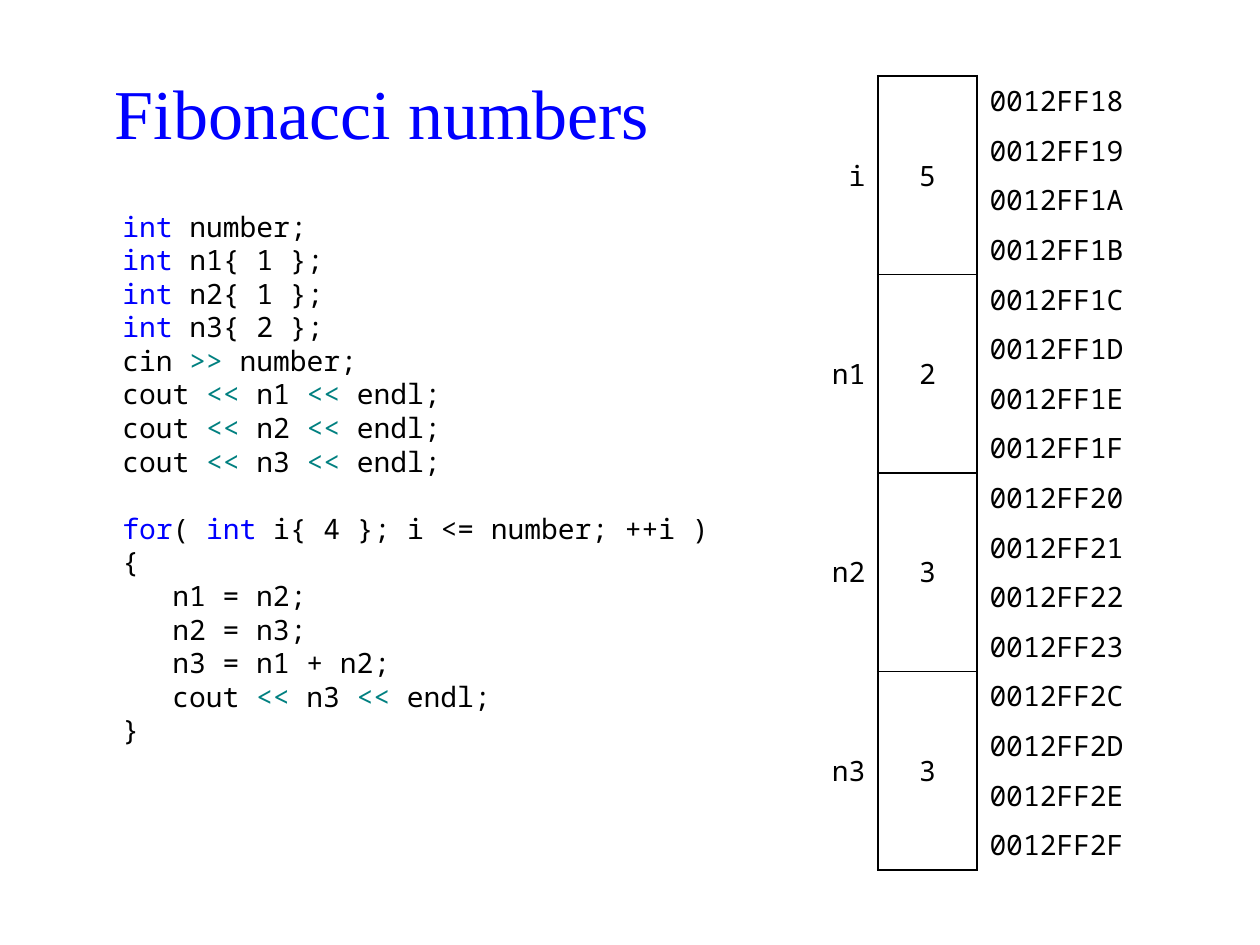
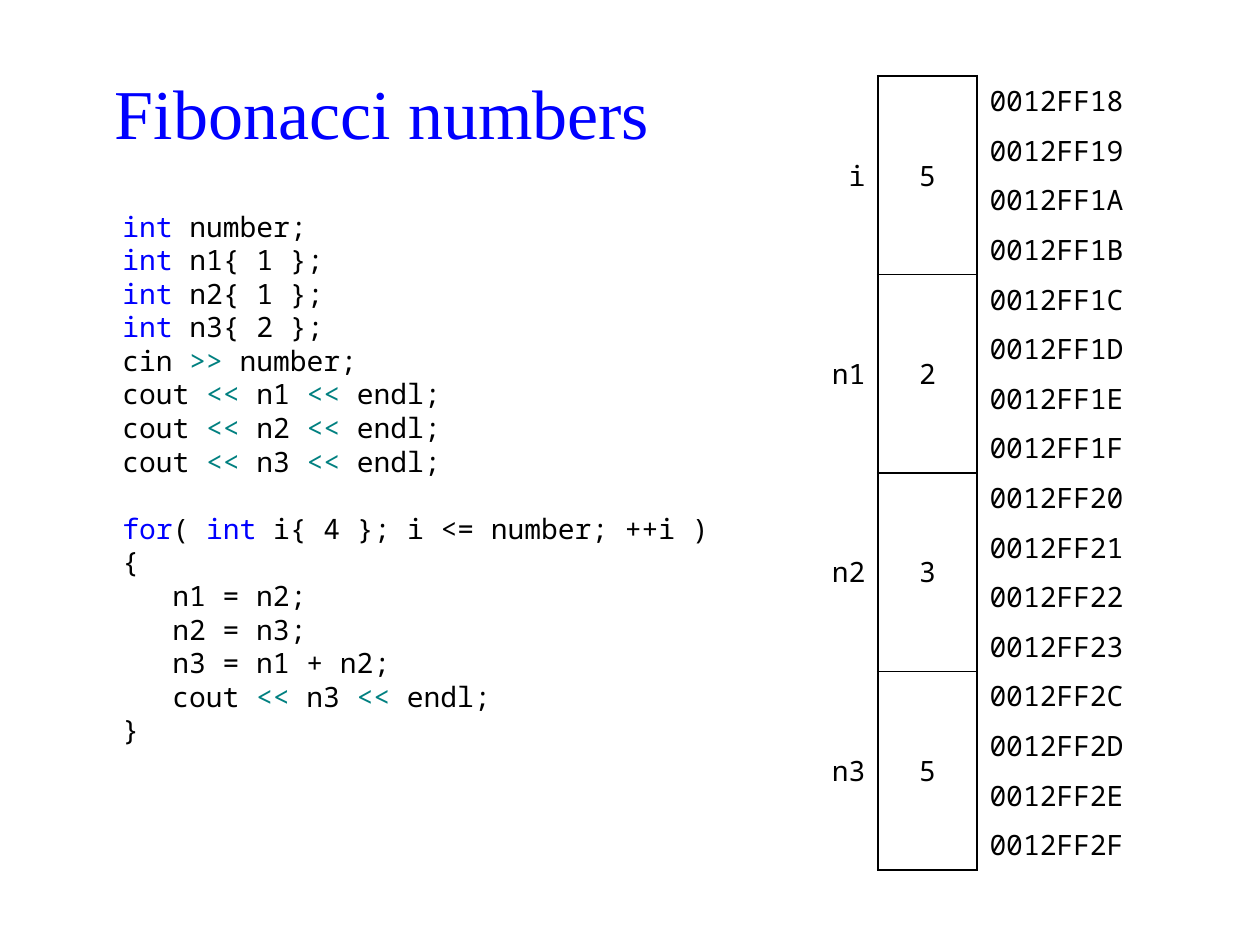
from pptx import Presentation, util as u
from pptx.dml.color import RGBColor
from pptx.enum import text
from pptx.oxml import parse_xml
from pptx.oxml.ns import nsdecls, qn

# Content: "|" separates differently coloured pieces of a code line
TITLE = "Fibonacci numbers"
DECLS = [
    "int| number;",
    "int| n1{ 1 };",
    "int| n2{ 1 };",
    "int| n3{ 2 };",
    "cin |>>| number;",
    "cout |<<| n1 |<<| endl;",
    "cout |<<| n2 |<<| endl;",
    "cout |<<| n3 |<<| endl;",
]
HEAD = ["for|( |int| i{ 4 }; i <= number; ++i )", "{"]
BODY = ["n1 = n2;", "n2 = n3;", "n3 = n1 + n2;", "cout |<<| n3 |<<| endl;"]
NAMES = ["i", "n1", "n2", "n3"]
STARTS = [0x12FF18, 0x12FF1C, 0x12FF20, 0x12FF2C]
STATES = [["5", "2", "3", "3"], ["5", "2", "3", "5"]]

# Shared style
BLACK, BLUE, TEAL = "000000", "0000FF", "008080"
TINTS = {"int": BLUE, "for": BLUE, "<<": TEAL, ">>": TEAL}
SERIF, MONO = "Times New Roman", "Noto Sans Mono"
PITCH = 19.2  # code line height in points
BYTES = 4
PLAIN = "{2D5ABB26-0587-4C30-8999-92F81FD0307C}"  # table style without grid
THICK, THIN = 1.5, 1
ALIGN = text.PP_ALIGN


def px(n):
    return u.Emu(round(n * 914400 / 126))


def hue(code):
    return RGBColor.from_string(code)


def style(par, size, face, color, align=ALIGN.LEFT):
    par.alignment = align
    par.font.size, par.font.name = u.Pt(size), face
    par.font.color.rgb = hue(color)


def box(slide, *at):
    frame = slide.shapes.add_textbox(*map(px, at)).text_frame
    frame.word_wrap = True
    return frame


def add_title(slide):
    frame = box(slide, 84, 50, 596, 124)
    frame.vertical_anchor = text.MSO_ANCHOR.MIDDLE
    frame.text = TITLE
    style(frame.paragraphs[0], 40, SERIF, BLUE, ALIGN.CENTER)


def add_code(slide):
    frame = box(slide, 110, 199, 620, 571)
    frame.margin_top = px(10)
    for n, line in enumerate(DECLS + HEAD + BODY + ["}"]):
        par = frame.paragraphs[0] if n == 0 else frame.add_paragraph()
        style(par, 16, MONO, BLACK)
        par.line_spacing = u.Pt(PITCH)
        if line == HEAD[0]:
            par.space_before = u.Pt(PITCH)
        if line in BODY and n > len(DECLS):
            par._p.get_or_add_pPr().set("marL", str(px(50)))
        for piece in line.split("|"):
            run = par.add_run()
            run.text = piece
            if piece in TINTS:
                run.font.color.rgb = hue(TINTS[piece])


def fill_cell(cell, words, align, edges=()):
    cell.text = words
    style(cell.text_frame.paragraphs[0], 16, MONO, BLACK, align)
    cell.vertical_anchor = text.MSO_ANCHOR.MIDDLE
    cell.margin_left = cell.margin_right = u.Inches(0.1)
    cell.margin_top = cell.margin_bottom = u.Inches(0.04)
    props = cell._tc.get_or_add_tcPr()
    for side, width in edges:
        props.append(parse_xml(
            f'<a:ln{side} {nsdecls("a")} w="{u.Pt(width)}"><a:solidFill>'
            f'<a:srgbClr val="{BLACK}"/></a:solidFill></a:ln{side}>'))
    cell.fill.background()


def add_memory(slide, values):
    rows, high = BYTES * len(NAMES), 794
    grid = slide.shapes.add_table(
        rows, 3, px(779), px(76), px(396), px(high)).table
    grid._tbl.tblPr.find(qn("a:tableStyleId")).text = PLAIN
    grid.first_row = grid.horz_banding = False
    for col, wide in zip(grid.columns, (99, 99, 198)):
        col.width = px(wide)
    for row in grid.rows:
        row.height = px(high / rows)

    # One block of bytes per variable
    for b, (name, value, start) in enumerate(zip(NAMES, values, STARTS)):
        top = b * BYTES
        upper = THICK if b == 0 else THIN
        lower = THICK if b == len(NAMES) - 1 else THIN
        for k in range(BYTES):
            first, last = k == 0, k == BYTES - 1
            edges = [("L", THICK), ("R", THICK)]
            if first:
                edges.append(("T", upper))
            if first or last:
                edges.append(("B", lower))
            label, store, addr = (grid.cell(top + k, c) for c in range(3))
            fill_cell(label, name if first else "", ALIGN.RIGHT, [("R", THICK)])
            fill_cell(store, value if first else "", ALIGN.CENTER, edges)
            fill_cell(addr, f"{start + k:08X}", ALIGN.LEFT, [("L", THICK)])
        for c in (0, 1):
            grid.cell(top, c).merge(grid.cell(top + BYTES - 1, c))


def main():
    deck = Presentation()
    deck.slide_width, deck.slide_height = px(1260), px(945)
    for values in STATES:
        slide = deck.slides.add_slide(deck.slide_layouts[6])
        add_title(slide)
        add_code(slide)
        add_memory(slide, values)
    deck.save("out.pptx")


if __name__ == "__main__":
    main()
